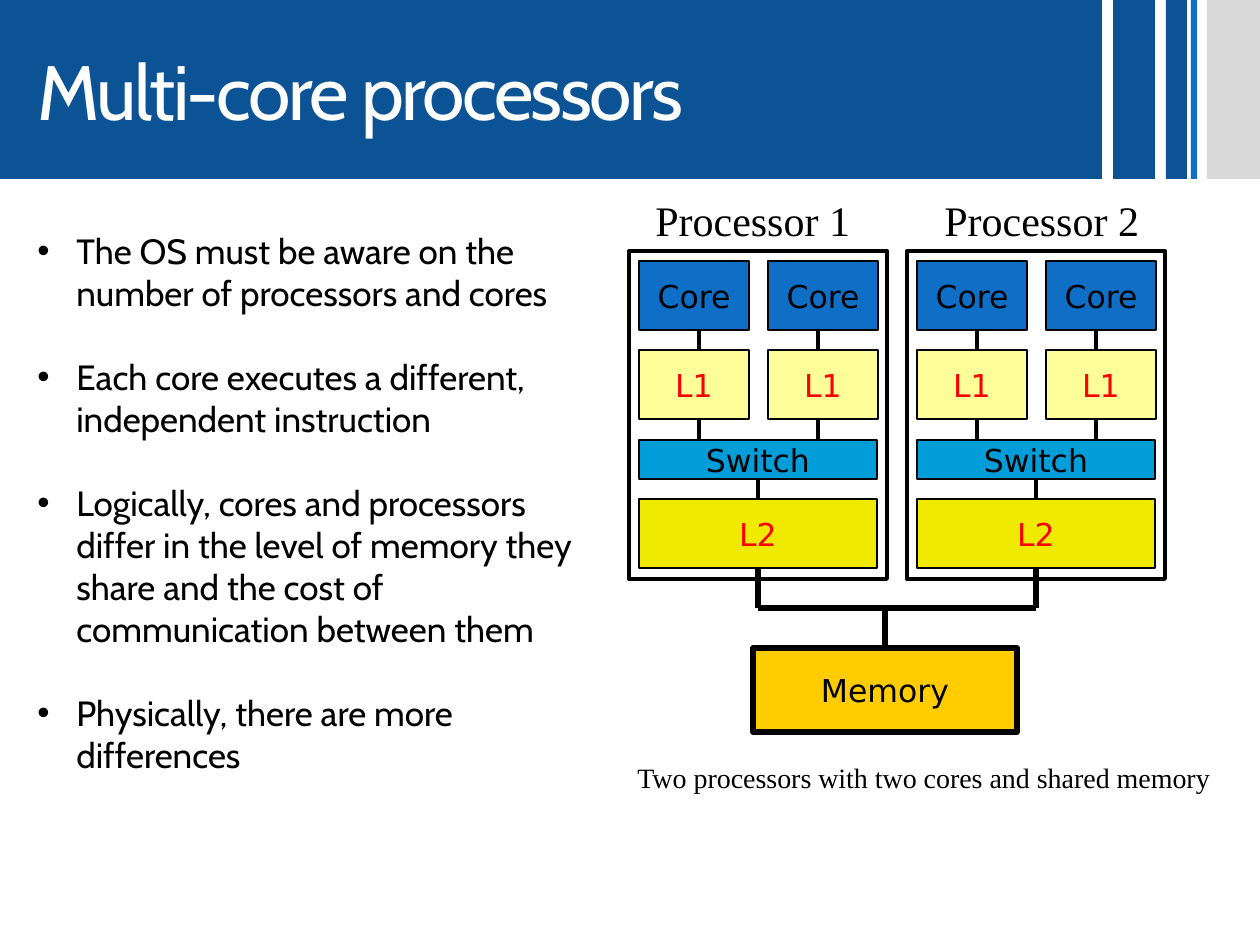
from lxml import etree
from pptx import Presentation
from pptx.dml.color import RGBColor
from pptx.enum.shapes import MSO_CONNECTOR, MSO_SHAPE
from pptx.enum.text import MSO_ANCHOR, PP_ALIGN
from pptx.oxml.ns import qn
from pptx.util import Emu, Pt

RECTANGLE = MSO_SHAPE.RECTANGLE
STRAIGHT = MSO_CONNECTOR.STRAIGHT
MIDDLE, TOP_ANCHOR = MSO_ANCHOR.MIDDLE, MSO_ANCHOR.TOP
LEFT, CENTER = PP_ALIGN.LEFT, PP_ALIGN.CENTER
TOP_SITE, BOTTOM_SITE = 0, 2

PIXELS_PER_INCH = 126
COLORS = {
    "banner": "0B5394", "core": "0F6FC6", "edge": "D9D9D9",
    "cache1": "FFFF99", "cache2": "F0EA00", "switch": "009DD9",
    "memory": "FFCC00", "black": "000000", "white": "FFFFFF", "red": "FF0000",
}
STRIPES = [(1113, 42, "banner"), (1166, 21, "banner"),
           (1191, 6, "core"), (1207, 53, "edge")]
BANNER_HEIGHT = 179
BULLETS = [
    "The OS must be aware on the number of processors and cores",
    "Each core executes a different, independent instruction",
    "Logically, cores and processors differ in the level of memory they "
    "share and the cost of communication between them",
    "Physically, there are more differences",
]
PROCESSOR_LEFTS = (629, 907)
BUS_Y = 608


def px(length):
    return Emu(round(length * 914400 / PIXELS_PER_INCH))


def rgb(name):
    return RGBColor.from_string(COLORS[name])


def set_values(target, values):
    for name, value in values.items():
        setattr(target, name, value)


def add_box(page, bounds, fill=None, line_width=None):
    """Add a rectangle; without a fill or line width that part stays empty."""
    box = page.shapes.add_shape(RECTANGLE, *map(px, bounds))
    box.shadow.inherit = False
    if fill:
        box.fill.solid()
        box.fill.fore_color.rgb = rgb(fill)
    else:
        box.fill.background()
    if line_width:
        box.line.color.rgb = rgb("black")
        box.line.width = Pt(line_width)
    else:
        box.line.fill.background()
    return box


def write(para, text, font, size, color="black"):
    span = para.add_run()
    span.text = text
    set_values(span.font, {"name": font, "size": Pt(size)})
    span.font.color.rgb = rgb(color)
    return span


def add_labelled_box(page, bounds, text, fill, color="black", line_width=0.75):
    box = add_box(page, bounds, fill, line_width)
    set_values(box.text_frame, {"vertical_anchor": MIDDLE, "word_wrap": False})
    para = box.text_frame.paragraphs[0]
    para.alignment = CENTER
    write(para, text, "DejaVu Sans", 18, color)
    return box


def add_text_box(page, bounds):
    box = page.shapes.add_textbox(*map(px, bounds))
    set_values(box.text_frame, {"vertical_anchor": TOP_ANCHOR, "word_wrap": True})
    return box.text_frame


def add_line(page, start, end, width=2.25, above=None, below=None):
    """Draw a line, joined to the bottom of one box and the top of another."""
    line = page.shapes.add_connector(STRAIGHT, *map(px, start + end))
    line.line.color.rgb = rgb("black")
    line.line.width = Pt(width)
    etree.SubElement(line._element.spPr, qn("a:effectLst"))
    if above:
        line.begin_connect(above, BOTTOM_SITE)
    if below:
        line.end_connect(below, TOP_SITE)


def add_banner(page):
    for left, width, color in STRIPES:
        add_box(page, (left, 0, width, BANNER_HEIGHT), color)
    title = add_box(page, (0, 0, 1102, BANNER_HEIGHT), "banner")
    set_values(title.text_frame, {
        "vertical_anchor": MIDDLE, "word_wrap": True, "margin_left": px(38)})
    para = title.text_frame.paragraphs[0]
    para.alignment = LEFT
    span = write(para, "Multi-core processors", "Cabin", 44, "white")
    span.font._element.set("spc", "-150")


def add_bullets(page):
    frame = add_text_box(page, (25, 223, 566, 564))
    for index, text in enumerate(BULLETS):
        para = frame.add_paragraph() if index else frame.paragraphs[0]
        if index:
            para.space_before = Pt(24)
        write(para, text, "Cabin", 20)
        properties = para._p.get_or_add_pPr()
        properties.set("marL", str(px(39)))
        properties.set("indent", str(-px(39)))
        etree.SubElement(properties, qn("a:buFont"), typeface="Arial")
        etree.SubElement(properties, qn("a:buChar"), char="•")


def add_processor(page, left):
    """Draw one processor and its line down to the memory bus."""
    for offset in (10, 139):
        add_labelled_box(page, (left + offset, 261, 110, 69), "Core", "core")
        add_labelled_box(page, (left + offset, 350, 110, 69), "L1", "cache1", "red")
    switch = add_labelled_box(page, (left + 10, 440, 238, 39), "Switch", "switch")
    cache = add_labelled_box(page, (left + 10, 499, 238, 69), "L2", "cache2", "red")
    for x in (left + 70, left + 189):
        for top, bottom in ((330, 350), (419, 440)):
            add_line(page, (x, top), (x, bottom))
    middle = left + 129
    add_line(page, (middle, 479), (middle, 499), above=switch, below=cache)
    add_line(page, (middle, 568), (middle, BUS_Y), 3, above=cache)
    add_box(page, (left, 251, 258, 328), line_width=2.25)


def add_memory(page):
    memory = add_labelled_box(page, (753, 648, 264, 84), "Memory", "memory",
                              line_width=3)
    bus_start, bus_end = (left + 129 for left in PROCESSOR_LEFTS)
    add_line(page, (bus_start, BUS_Y), (bus_end, BUS_Y), 3)
    add_line(page, (885, BUS_Y), (885, 648), 3, below=memory)


def add_captions(page):
    captions = [
        ((643, 188, 240, 64), "Processor 1", 24),
        ((932, 188, 240, 64), "Processor 2", 24),
        ((625, 754, 635, 47), "Two processors with two cores and shared memory", 16),
    ]
    for bounds, text, size in captions:
        frame = add_text_box(page, bounds)
        write(frame.paragraphs[0], text, "Times New Roman", size)


def main():
    deck = Presentation()
    set_values(deck, {"slide_width": px(1260), "slide_height": px(945)})
    page = deck.slides.add_slide(deck.slide_layouts[6])
    add_banner(page)
    for left in PROCESSOR_LEFTS:
        add_processor(page, left)
    add_memory(page)
    add_captions(page)
    add_bullets(page)
    deck.save("out.pptx")


if __name__ == "__main__":
    main()
